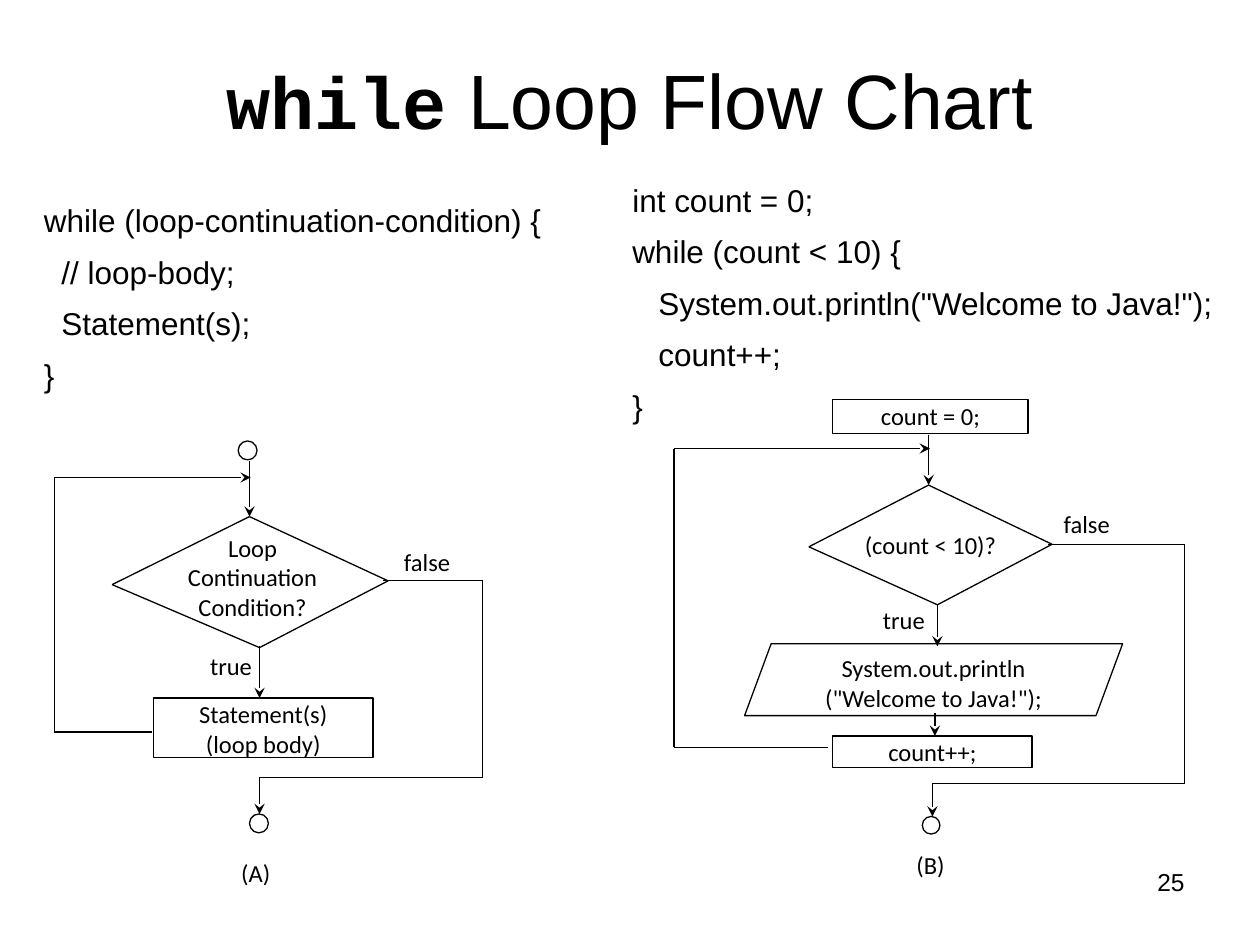
from itertools import pairwise
from lxml import etree
from pptx import Presentation
from pptx.dml.color import RGBColor
from pptx.enum.shapes import MSO_CONNECTOR, MSO_SHAPE
from pptx.enum.text import MSO_ANCHOR, PP_ALIGN
from pptx.oxml.ns import qn
from pptx.util import Inches, Pt

RECT, OVAL = MSO_SHAPE.RECTANGLE, MSO_SHAPE.OVAL
SLANT = MSO_SHAPE.PARALLELOGRAM
LINE = MSO_CONNECTOR.STRAIGHT
TOP, MID = MSO_ANCHOR.TOP, MSO_ANCHOR.MIDDLE
LEFT, CENTER, RIGHT = PP_ALIGN.LEFT, PP_ALIGN.CENTER, PP_ALIGN.RIGHT

THEME = {
    "ink": RGBColor(0, 0, 0), "paper": RGBColor(255, 255, 255),
    "sans": "Arial", "mono": "Courier New", "label": "Calibri",
    "title": 44, "word": 42, "code": 18, "small": 14, "line": 0.75,
}

deck = Presentation()
deck.slide_width, deck.slide_height = Inches(10), Inches(7.5)
slide = deck.slides.add_slide(deck.slide_layouts[6])

# Grid of 100 columns by 75 rows
COL, ROW = deck.slide_width / 100, deck.slide_height / 75


def place(x, y, w, h):
    return round(x * COL), round(y * ROW), round(w * COL), round(h * ROW)


def write(frame, lines, align, anchor=TOP, gap=0, lead=1.0):
    """Fill a frame; each line is a list of (text, font, size, bold) runs."""
    frame.word_wrap = True
    frame.vertical_anchor = anchor
    for i, runs in enumerate(lines):
        para = frame.add_paragraph() if i else frame.paragraphs[0]
        para.alignment, para.line_spacing = align, lead
        if i and gap:
            para.space_before = Pt(gap)
        for text, face, size, bold in runs:
            run = para.add_run()
            run.text = text
            run.font.name, run.font.size = face, Pt(size)
            run.font.bold, run.font.color.rgb = bold, THEME["ink"]


# Title
box = slide.shapes.add_textbox(*place(7.5, 0, 85, 15.6))
write(box.text_frame, [[
    ("while", THEME["mono"], THEME["word"], True),
    (" Loop Flow Chart", THEME["sans"], THEME["title"], False),
]], CENTER, MID)

# Code listings
codes = [
    ((2.5, 15.8, 45.8, 16.5), """while (loop-continuation-condition) {
  // loop-body;
  Statement(s);
}"""),
    ((49.2, 14.2, 48.3, 20.6), """int count = 0;
while (count < 10) {
   System.out.println("Welcome to Java!");
   count++;
}"""),
]
for area, code in codes:
    box = slide.shapes.add_textbox(*place(*area))
    lines = [[(row, THEME["sans"], THEME["code"], False)]
             for row in code.split("\n")]
    write(box.text_frame, lines, LEFT, gap=10, lead=0.9)

# Nodes and labels: kind, area, text, outlined, alignment
nodes = [
    # Chart A
    (OVAL, (18.9, 35, 1.5, 1.5), "", True, CENTER),
    (RECT, (12.8, 42.2, 14.5, 7.2), "Loop\nContinuation\nCondition?",
     False, CENTER),
    (RECT, (14.4, 51.6, 5.7, 2.8), "true", False, RIGHT),
    (RECT, (30.6, 43.3, 6.6, 2.4), "false", False, CENTER),
    (RECT, (12.2, 55.4, 17.4, 4.7), "Statement(s)\n(loop body)", True, CENTER),
    (OVAL, (19.8, 64.6, 1.5, 1.5), "", True, CENTER),
    (RECT, (17, 68, 6.6, 2.9), "(A)", False, CENTER),
    # Chart B
    (RECT, (66.1, 31.7, 15.5, 2.7), "count = 0;", True, CENTER),
    (RECT, (67.4, 42, 12.9, 4.2), "(count < 10)?", False, CENTER),
    (RECT, (69.4, 47.9, 4.1, 2.5), "true", False, RIGHT),
    (RECT, (83.3, 40.3, 5.9, 2.1), "false", False, CENTER),
    (SLANT, (59.1, 51.1, 30, 5.7),
     'System.out.println\n("Welcome to Java!");', True, CENTER),
    (RECT, (66.1, 58.4, 15.8, 2.5), "count++;", True, CENTER),
    (OVAL, (73.2, 64.8, 1.4, 1.4), "", True, CENTER),
    (RECT, (70.9, 67.4, 5.9, 2.6), "(B)", False, CENTER),
]
for kind, area, text, edge, align in nodes:
    node = slide.shapes.add_shape(kind, *place(*area))
    node.shadow.inherit = False
    node.fill.solid()
    node.fill.fore_color.rgb = THEME["paper"]
    node.line.color.rgb = THEME["ink" if edge else "paper"]
    node.line.width = Pt(THEME["line"])
    if kind == SLANT:
        node.adjustments[0] = 0.37
    if text:
        frame = node.text_frame
        frame.margin_left = frame.margin_right = Inches(0.01)
        frame.margin_top = frame.margin_bottom = Inches(0.01)
        lines = [[(row, THEME["label"], THEME["small"], False)]
                 for row in text.split("\n")]
        write(frame, lines, align)

# Decision outlines: top, right, bottom, left corner
gates = [
    [(19.8, 41), (30.8, 46.1), (20.6, 51.4), (8.9, 46.4)],
    [(73.7, 38.5), (83.5, 43.2), (74.4, 48), (64.2, 43.4)],
]
# Flow routes, each ending in an arrowhead
flows = [
    # Chart A: entry, true branch, way back, way out
    [(19.8, 36.6), (19.8, 41)],
    [(20.6, 51.3), (20.6, 55.4)],
    [(12.1, 58.1), (4.3, 58.1), (4.3, 37.9), (19.9, 37.9)],
    [(30.4, 46.1), (38.3, 46.1), (38.3, 61.7), (20.6, 61.7), (20.6, 64.6)],
    # Chart B: entry, true branch, step, way back, way out
    [(73.7, 34.5), (73.7, 38.5)],
    [(74.4, 47.9), (74.4, 51.3)],
    [(74.2, 56.6), (74.2, 58.4)],
    [(65.7, 59.3), (53.5, 59.3), (53.5, 35.6), (73.8, 35.6)],
    [(83.2, 43.2), (94, 43.2), (94, 62.2), (74, 62.2), (74, 64.8)],
]
routes = [(gate + gate[:1], False) for gate in gates]
routes += [(flow, True) for flow in flows]
for points, arrow in routes:
    for start, end in pairwise(points):
        wire = slide.shapes.add_connector(LINE, *place(*start, *end))
        wire.line.color.rgb = THEME["ink"]
        wire.line.width = Pt(THEME["line"])
        props = wire.line._get_or_add_ln()
        if arrow and end == points[-1]:
            etree.SubElement(props, qn("a:tailEnd"), type="stealth")
        etree.SubElement(props.getparent(), qn("a:effectLst"))

# Page number
box = slide.shapes.add_textbox(*place(71.7, 68.3, 23.3, 5.2))
write(box.text_frame, [[("25", THEME["sans"], THEME["small"], False)]], RIGHT)

deck.save("out.pptx")
